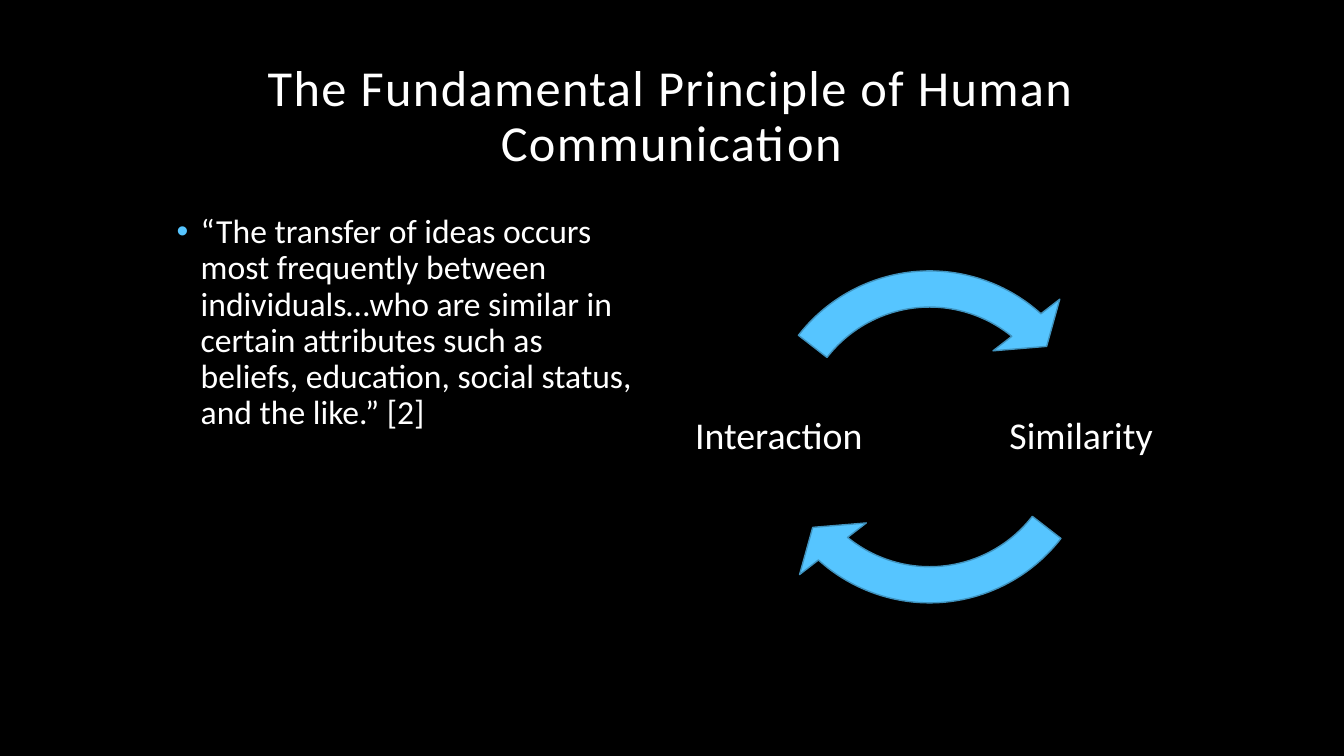
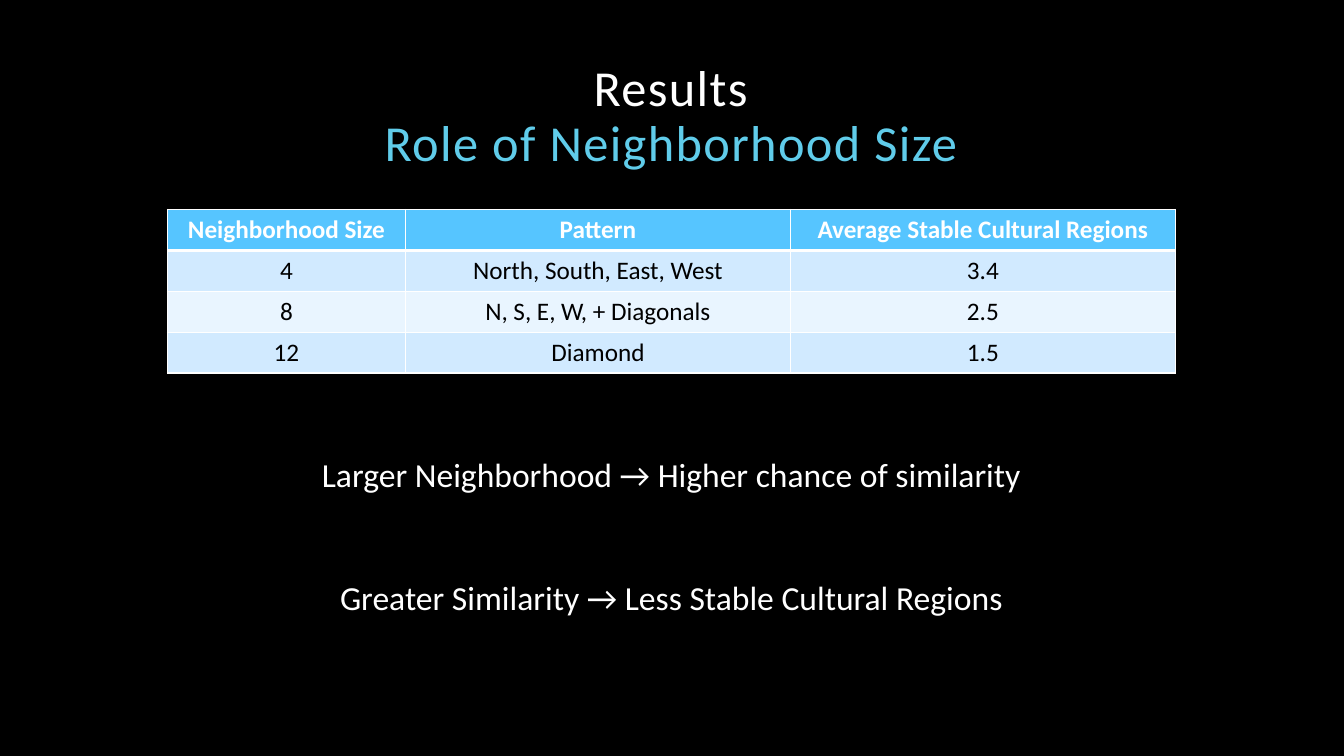
"""Build two slides on human communication and neighborhood size."""
from lxml.etree import SubElement
from pptx import Presentation
from pptx.dml.color import RGBColor
from pptx.enum.shapes import MSO_SHAPE
from pptx.enum.text import MSO_ANCHOR, PP_ALIGN
from pptx.oxml import parse_xml
from pptx.oxml.ns import nsdecls, qn
from pptx.util import Cm, Pt

FONT = "Calibri"
BLACK, WHITE = "000000", "FFFFFF"
SKY, CYAN, STEEL = "56C5FF", "60CCEA", "4092BD"
LIGHT_BANDS = ["D1EAFF", "E9F5FF"]
LEFT, WIDTH = 4.22, 25.4


def color(code):
    return RGBColor.from_string(code)


def add_text(page, place, lines, size, align=PP_ALIGN.CENTER, anchor=MSO_ANCHOR.TOP, gap=0):
    box = page.shapes.add_textbox(*[Cm(length) for length in place])
    frame = box.text_frame
    frame.word_wrap = True
    frame.vertical_anchor = anchor
    for number, line in enumerate(lines):
        para = frame.add_paragraph() if number else frame.paragraphs[0]
        para.alignment = align
        para.line_spacing = 0.9
        para.space_before = Pt(gap if number else 0)
        span = para.add_run()
        span.text = line
        span.font.name = FONT
        span.font.size = Pt(size)
        span.font.color.rgb = color(WHITE)
    return frame


deck = Presentation()
deck.slide_width, deck.slide_height = Cm(33.87), Cm(19.05)
background = deck.slide_master.background.fill
background.solid()
background.fore_color.rgb = color(BLACK)

titles = [
    [("The Fundamental Principle of Human Communication", WHITE)],
    [("Results", WHITE), ("Role of Neighborhood Size", CYAN)],
]
pages = []
for parts in titles:
    page = deck.slides.add_slide(deck.slide_layouts[6])
    pages.append(page)
    frame = add_text(page, (LEFT, 1.06, WIDTH, 3.81), [], 36, anchor=MSO_ANCHOR.MIDDLE)
    para = frame.paragraphs[0]
    para.alignment = PP_ALIGN.CENTER
    para.line_spacing = 0.9
    for number, (words, tint) in enumerate(parts):
        if number:
            para.add_line_break()
        span = para.add_run()
        span.text = words
        span.font.name = FONT
        span.font.size = Pt(36)
        span.font.color.rgb = color(tint)
        span.font._element.set("spc", "100")
principle_page, results_page = pages

quote = (
    "“The transfer of ideas occurs most frequently between individuals…who are similar in "
    "certain attributes such as beliefs, education, social status, and the like.” [2]"
)
frame = add_text(principle_page, (4.2, 5.28, 12.27, 11.43), [quote], 24, PP_ALIGN.LEFT)
properties = frame.paragraphs[0]._p.get_or_add_pPr()
properties.set("marL", str(Cm(0.61)))
properties.set("indent", str(-Cm(0.61)))
bullet_color = SubElement(properties, qn("a:buClr"))
SubElement(bullet_color, qn("a:srgbClr"), val=SKY)
SubElement(properties, qn("a:buFont"), typeface="Arial")
SubElement(properties, qn("a:buChar"), char="•")

cycle = [("Similarity", 24.92, 7851, 2264), ("Interaction", 17.3, 18651, 13064)]
for label, left, end_angle, start_angle in cycle:
    frame = add_text(principle_page, (left, 8.69, 4.65, 4.65), [label], 27, anchor=MSO_ANCHOR.MIDDLE)
    frame.margin_left = frame.margin_right = frame.margin_top = frame.margin_bottom = Cm(0.1)
    arrow = principle_page.shapes.add_shape(
        MSO_SHAPE.CIRCULAR_ARROW, Cm(18.64), Cm(6.22), Cm(9.58), Cm(9.58)
    )
    for number, percent in enumerate([9.5, 684.9, end_angle, start_angle, 11.1]):
        arrow.adjustments[number] = percent / 100
    arrow.shadow.inherit = False
    arrow.fill.solid()
    arrow.fill.fore_color.rgb = color(SKY)
    arrow.line.color.rgb = color(STEEL)
    arrow.line.width = Pt(1)

rows = [
    ["Neighborhood Size", "Pattern", "Average Stable Cultural Regions"],
    ["4", "North, South, East, West", "3.4"],
    ["8", "N, S, E, W, + Diagonals", "2.5"],
    ["12", "Diamond", "1.5"],
]
row_height = 1.03
table = results_page.shapes.add_table(
    len(rows), 3, Cm(LEFT), Cm(5.28), Cm(WIDTH), Cm(row_height * len(rows))
).table
for column, width in zip(table.columns, [6, 9.7, 9.7]):
    column.width = Cm(width)
for row_number, values in enumerate(rows):
    table.rows[row_number].height = Cm(row_height)
    header = row_number == 0
    edges = {"lnL": 1, "lnR": 1, "lnT": 3 if row_number == 1 else 1, "lnB": 3 if header else 1}
    for column_number, value in enumerate(values):
        cell = table.cell(row_number, column_number)
        cell.fill.solid()
        cell.fill.fore_color.rgb = color(SKY if header else LIGHT_BANDS[(row_number - 1) % 2])
        para = cell.text_frame.paragraphs[0]
        para.alignment = PP_ALIGN.CENTER
        span = para.add_run()
        span.text = value
        span.font.name = FONT
        span.font.size = Pt(18)
        span.font.bold = header
        span.font.color.rgb = color(WHITE if header else BLACK)
        for position, (edge, points) in enumerate(edges.items()):
            border = parse_xml(
                f'<a:{edge} {nsdecls("a")} w="{Pt(points)}"><a:solidFill>'
                f'<a:srgbClr val="{WHITE}"/></a:solidFill></a:{edge}>'
            )
            cell._tc.get_or_add_tcPr().insert(position, border)

findings = [
    "Larger Neighborhood → Higher chance of similarity",
    "Greater Similarity → Less Stable Cultural Regions",
]
add_text(results_page, (LEFT, 11.43, WIDTH, 4.34), findings, 24, gap=62)

deck.save("out.pptx")
